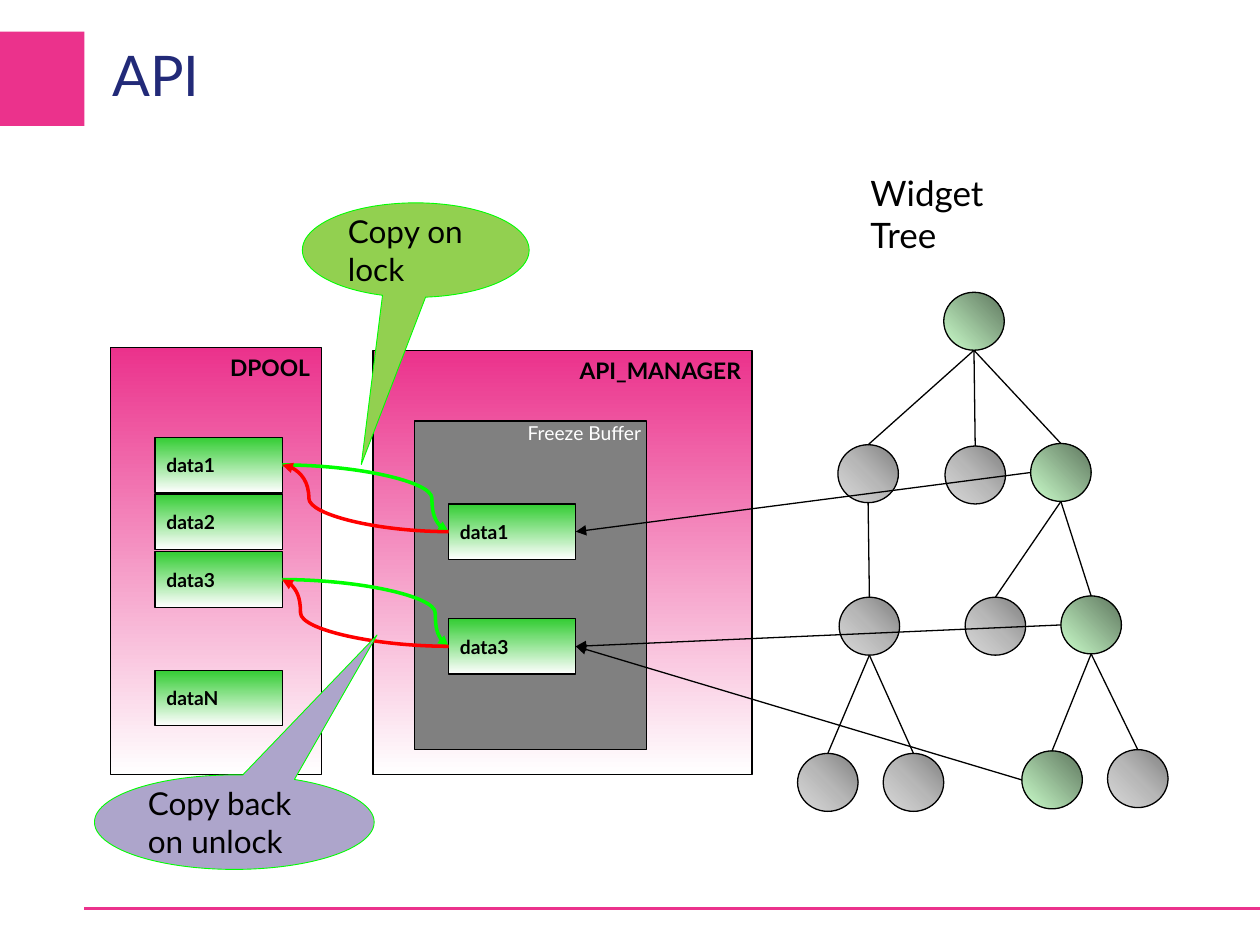
from lxml import etree
from pptx import Presentation
from pptx.dml.color import RGBColor
from pptx.enum.shapes import MSO_CONNECTOR as Connector, MSO_SHAPE as Shape
from pptx.enum.text import MSO_ANCHOR as Anchor, PP_ALIGN as Align
from pptx.oxml import parse_xml
from pptx.oxml.ns import nsdecls, qn
from pptx.util import Inches, Pt

FONT = "Lato"
PINK = RGBColor(0xEB, 0x32, 0x8C)
NAVY = RGBColor(0x22, 0x2A, 0x78)
BLACK = RGBColor(0x00, 0x00, 0x00)
WHITE = RGBColor(0xFF, 0xFF, 0xFF)
GRAY = RGBColor(0x80, 0x80, 0x80)
MID_GRAY = RGBColor(0xB7, 0xB7, 0xB7)
LIGHT_GRAY = RGBColor(0xD9, 0xD9, 0xD9)
GREEN = RGBColor(0x33, 0xCC, 0x33)
LIME = RGBColor(0x00, 0xFF, 0x00)
RED = RGBColor(0xFF, 0x00, 0x00)
PALE_GREEN = RGBColor(0xCC, 0xFF, 0xCC)
DARK_GREEN = RGBColor(0x5E, 0x76, 0x5E)
CALLOUT_GREEN = RGBColor(0x92, 0xD0, 0x50)
CALLOUT_PURPLE = RGBColor(0xAD, 0xA5, 0xCB)

# Gradients: evenly spaced colours and the direction element
DOWN = '<a:lin ang="5400000" scaled="1"/>'
UP_RIGHT = '<a:lin ang="18900000" scaled="1"/>'
FROM_TOP_RIGHT = '<a:path path="circle"><a:fillToRect l="100000" b="100000"/></a:path>'
PANEL_FILL = ([PINK, WHITE], DOWN)
DATA_FILL = ([GREEN, WHITE], DOWN)
ACTIVE_FILL = ([PALE_GREEN, DARK_GREEN], UP_RIGHT)
IDLE_FILL = ([GRAY, MID_GRAY, LIGHT_GRAY], FROM_TOP_RIGHT)

TOP, LEFT, BOTTOM, RIGHT = range(4)
SITES = {TOP: (0.5, 0), LEFT: (0, 0.5), BOTTOM: (0.5, 1), RIGHT: (1, 0.5)}

presentation = Presentation()
presentation.slide_width = Inches(10)
presentation.slide_height = Inches(7.5)
slide = presentation.slides.add_slide(presentation.slide_layouts[5])


def add_shape(kind, box, fill=None, text="", line=BLACK, line_width=0.75, size=11,
              color=BLACK, bold=False, align=Align.LEFT, anchor=Anchor.MIDDLE,
              margins=(0.1, 0.05, 0.1, 0.05)):
    """Add a shape whose fill is None, a colour or a (colours, direction) gradient."""
    shape = slide.shapes.add_shape(kind, *map(Inches, box))
    shape.shadow.inherit = False
    if fill is None:
        shape.fill.background()
    elif isinstance(fill, RGBColor):
        shape.fill.solid()
        shape.fill.fore_color.rgb = fill
    else:
        colors, direction = fill
        step = 100000 // (len(colors) - 1)
        stops = "".join(f'<a:gs pos="{i * step}"><a:srgbClr val="{stop}"/></a:gs>'
                        for i, stop in enumerate(colors))
        shape.fill.gradient()
        properties = shape._element.spPr
        properties.replace(properties.find(qn("a:gradFill")), parse_xml(
            f'<a:gradFill {nsdecls("a")} rotWithShape="1"><a:gsLst>{stops}</a:gsLst>'
            f'{direction}</a:gradFill>'))
    if line is None:
        shape.line.fill.background()
    else:
        shape.line.color.rgb = line
        shape.line.width = Pt(line_width)
    if text:
        frame = shape.text_frame
        frame.word_wrap = True
        frame.vertical_anchor = anchor
        (frame.margin_left, frame.margin_top,
         frame.margin_right, frame.margin_bottom) = map(Inches, margins)
        paragraph = frame.paragraphs[0]
        paragraph.alignment = align
        run = paragraph.add_run()
        run.text = text
        run.font.name = FONT
        run.font.size = Pt(size)
        run.font.bold = bold
        run.font.color.rgb = color
    return shape


def link(start, start_site, end, end_site, color=BLACK, width=0.75, arrow=False, bend=None):
    """Draw a connector between sides of two shapes, curved when a bend is given."""
    points = []
    for shape, site in ((start, start_site), (end, end_site)):
        across, down = SITES[site]
        points += [int(shape.left + across * shape.width), int(shape.top + down * shape.height)]
    kind = Connector.STRAIGHT if bend is None else Connector.CURVE
    connector = slide.shapes.add_connector(kind, *points)
    # Ovals number their sites differently; only the top agrees with rectangles
    if start.auto_shape_type == Shape.RECTANGLE or start_site == TOP:
        connector.begin_connect(start, start_site)
    if end.auto_shape_type == Shape.RECTANGLE or end_site == TOP:
        connector.end_connect(end, end_site)
    connector.line.color.rgb = color
    connector.line.width = Pt(width)
    properties = connector._element.spPr
    if arrow:
        etree.SubElement(properties.find(qn("a:ln")), qn("a:tailEnd"), type="triangle")
    if bend is not None:
        guides = properties.find(qn("a:prstGeom")).find(qn("a:avLst"))
        etree.SubElement(guides, qn("a:gd"), name="adj1", fmla=f"val {round(bend * 100000)}")
    etree.SubElement(properties, qn("a:effectLst"))


# Page decoration and title
add_shape(Shape.RECTANGLE, (-0.01, 0.25, 0.68, 0.75), PINK, line=None)
footer_line = slide.shapes.add_connector(
    Connector.STRAIGHT, Inches(0.67), Inches(7.21), Inches(10.01), Inches(7.21))
footer_line.line.color.rgb = PINK
footer_line.line.width = Pt(2)
etree.SubElement(footer_line._element.spPr, qn("a:effectLst"))

title = slide.shapes.title
title.left, title.top, title.width, title.height = map(Inches, (0.89, 0.16, 6.79, 0.85))
frame = title.text_frame
frame.margin_left = frame.margin_top = frame.margin_right = frame.margin_bottom = 0
frame.vertical_anchor = Anchor.MIDDLE
frame.text = "API"
paragraph = frame.paragraphs[0]
paragraph.alignment = Align.LEFT
paragraph.font.name = FONT
paragraph.font.size = Pt(32)
paragraph.font.color.rgb = NAVY

# Panels
for name, box in (("API_MANAGER", (2.96, 2.78, 3.01, 3.37)), ("DPOOL", (0.88, 2.76, 1.67, 3.39))):
    add_shape(Shape.RECTANGLE, box, PANEL_FILL, name, size=13, bold=True,
              align=Align.RIGHT, anchor=Anchor.TOP, margins=(0.09, 0.05, 0.09, 0.05))
add_shape(Shape.RECTANGLE, (3.29, 3.34, 1.84, 2.61), GRAY, "Freeze Buffer", color=WHITE,
          align=Align.RIGHT, anchor=Anchor.TOP, margins=(0, 0, 0.04, 0))

# Data boxes in the pool and their frozen copies
pool, frozen = {}, {}
for boxes, left, rows in (
    (pool, 1.23, {"data1": 3.47, "data2": 3.92, "data3": 4.38, "dataN": 5.32}),
    (frozen, 3.56, {"data1": 4, "data3": 4.91}),
):
    for name, top in rows.items():
        boxes[name] = add_shape(Shape.RECTANGLE, (left, top, 1.01, 0.44), DATA_FILL, name,
                                bold=True, margins=(0.09, 0.05, 0.09, 0.05))

for name, bend in (("data1", 0.9), ("data3", 0.92)):
    link(pool[name], RIGHT, frozen[name], LEFT, LIME, 2, arrow=True, bend=bend)

# Widget tree: left, top, fill, parent
widgets = {}
for name, left, top, fill, parent in (
    ("root", 7.49, 2.32, ACTIVE_FILL, None),
    ("left", 6.65, 3.53, IDLE_FILL, "root"),
    ("middle", 7.5, 3.54, IDLE_FILL, "root"),
    ("right", 8.18, 3.52, ACTIVE_FILL, "root"),
    ("left child", 6.66, 4.74, IDLE_FILL, "left"),
    ("right child 1", 7.66, 4.74, IDLE_FILL, "right"),
    ("right child 2", 8.42, 4.73, ACTIVE_FILL, "right"),
    ("left leaf 1", 6.33, 5.98, IDLE_FILL, "left child"),
    ("left leaf 2", 7.01, 5.98, IDLE_FILL, "left child"),
    ("right leaf 1", 8.11, 5.96, ACTIVE_FILL, "right child 2"),
    ("right leaf 2", 8.79, 5.95, IDLE_FILL, "right child 2"),
):
    widgets[name] = add_shape(Shape.OVAL, (left, top, 0.48, 0.46), fill)
    if parent:
        link(widgets[parent], BOTTOM, widgets[name], TOP)

add_shape(Shape.RECTANGLE, (6.81, 1.31, 1.52, 0.44), text="Widget Tree", line=None,
          size=20, anchor=Anchor.TOP)

# Active widgets read the frozen data
for widget, name in (("right", "data1"), ("right child 2", "data3"), ("right leaf 1", "data3")):
    link(widgets[widget], LEFT, frozen[name], RIGHT, arrow=True)

for name, bend in (("data1", 0.84), ("data3", 0.89)):
    link(frozen[name], LEFT, pool[name], RIGHT, RED, 2, arrow=True, bend=bend)

# Callouts
for text, box, fill, pointer in (
    ("Copy on lock", (2.4, 1.61, 1.8, 0.75), CALLOUT_GREEN, (-0.24, 2.27)),
    ("Copy back on unlock", (0.75, 6.15, 2.22, 0.75), CALLOUT_PURPLE, (0.51, -1.98)),
):
    callout = add_shape(Shape.OVAL_CALLOUT, box, fill, text, line=LIME, line_width=0.5, size=18)
    callout.adjustments[0], callout.adjustments[1] = pointer

presentation.save("out.pptx")
